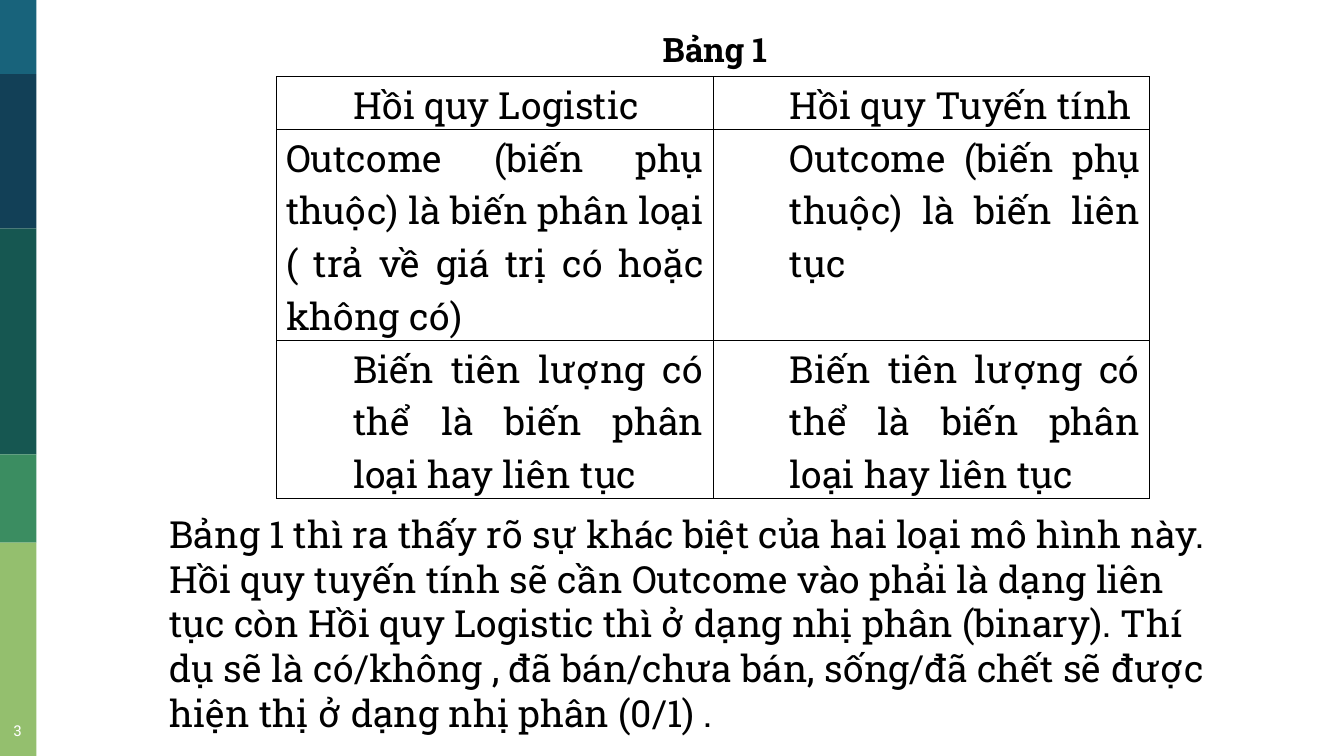
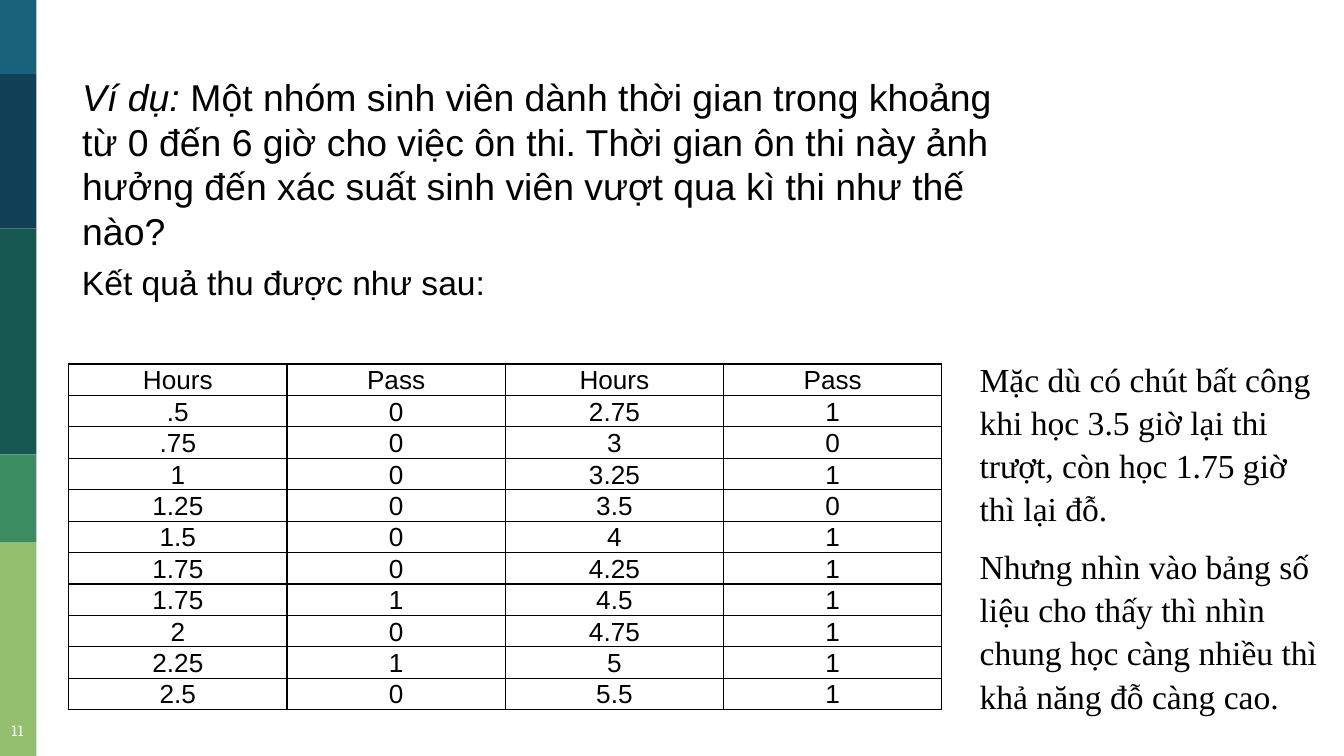
from dataclasses import dataclass

from lxml.etree import SubElement
from pptx import Presentation
from pptx.dml.color import RGBColor
from pptx.enum.shapes import MSO_SHAPE
from pptx.enum.text import MSO_ANCHOR, MSO_AUTO_SIZE, PP_ALIGN
from pptx.oxml.ns import qn
from pptx.util import Cm, Pt


@dataclass(frozen=True)
class Style:
    """Type and paragraph settings of one kind of text."""
    font: str
    size: float
    color: str = "000000"
    align: PP_ALIGN = PP_ALIGN.LEFT
    spacing: float = 1.0
    after: float = 0
    left: float = 0
    first: float = 0


@dataclass(frozen=True)
class Theme:
    """Colours and type sizes of the deck."""
    bands: tuple = ("18637B", "124057", "165751", "3B8D61", "94BF6E")
    border: str = "000000"
    border_width: float = 0.75
    page: Style = Style("Roboto Slab", 8, "FFFFFF", PP_ALIGN.CENTER)
    caption: Style = Style("Roboto Slab", 18, first=1.27)
    slab: Style = Style("Roboto Slab", 20)
    compare: Style = Style("Roboto Slab", 20, align=PP_ALIGN.JUSTIFY,
                           spacing=1.07, after=7.5)
    compare_indented: Style = Style("Roboto Slab", 20, align=PP_ALIGN.JUSTIFY,
                                    spacing=1.07, after=7.5, left=1.27)
    question: Style = Style("Arial", 20)
    lead: Style = Style("Arial", 18)
    data: Style = Style("Arial", 14, align=PP_ALIGN.CENTER, spacing=1.07)
    remark: Style = Style("Times New Roman", 18, spacing=1.07, after=8)


@dataclass(frozen=True)
class Box:
    """A rectangle in centimetres."""
    x: float
    y: float
    w: float
    h: float

    def inner(self, dx, dy, w, h):
        """Return a box offset from this one's corner."""
        return Box(self.x + dx, self.y + dy, w, h)

    def lengths(self):
        """Return left, top, width and height as lengths."""
        return Cm(self.x), Cm(self.y), Cm(self.w), Cm(self.h)


THEME = Theme()
PAGE = Box(0, 0, 25.4, 14.29)
SIDEBAR = Box(0, 0, 0.69, 14.29)
BAND_TOPS = (0, 1.4, 4.32, 8.59, 10.26, SIDEBAR.h)

COMPARISON = (
    ("Hồi quy Logistic", "Hồi quy Tuyến tính"),
    ("Outcome (biến phụ thuộc) là biến phân loại ( trả về giá trị có hoặc không có)",
     "Outcome (biến phụ thuộc) là biến liên tục"),
    ("Biến tiên lượng có thể là biến phân loại hay liên tục",) * 2,
)
EXPLANATION = (
    "Bảng 1 thì ra thấy rõ sự khác biệt của hai loại mô hình này. "
    "Hồi quy tuyến tính sẽ cần Outcome vào phải là dạng liên tục còn "
    "Hồi quy Logistic thì ở dạng nhị phân (binary). Thí dụ sẽ là "
    "có/không , đã bán/chưa bán, sống/đã chết sẽ được hiện thị ở dạng "
    "nhị phân (0/1) ."
)
QUESTION = (
    "Một nhóm sinh viên dành thời gian trong khoảng từ 0 đến 6 giờ cho "
    "việc ôn thi. Thời gian ôn thi này ảnh hưởng đến xác suất sinh viên "
    "vượt qua kì thi như thế nào?"
)
REMARKS = (
    "Mặc dù có chút bất công khi học 3.5 giờ lại thi trượt, còn học 1.75 "
    "giờ thì lại đỗ.",
    "Nhưng nhìn vào bảng số liệu cho thấy thì nhìn chung học càng nhiều "
    "thì khả năng đỗ càng cao.",
)
STUDY_RESULTS = (
    ("Hours", "Pass", "Hours", "Pass"),
    (".5", "0", "2.75", "1"),
    (".75", "0", "3", "0"),
    ("1", "0", "3.25", "1"),
    ("1.25", "0", "3.5", "0"),
    ("1.5", "0", "4", "1"),
    ("1.75", "0", "4.25", "1"),
    ("1.75", "1", "4.5", "1"),
    ("2", "0", "4.75", "1"),
    ("2.25", "1", "5", "1"),
    ("2.5", "0", "5.5", "1"),
)


def write(tf, paragraphs, style):
    """Write paragraphs of (text, emphasis) runs in one style."""
    for i, runs in enumerate(paragraphs):
        p = tf.add_paragraph() if i else tf.paragraphs[0]
        p.alignment = style.align
        p.line_spacing = style.spacing
        p.space_before, p.space_after = Pt(0), Pt(style.after)
        pPr = p._p.get_or_add_pPr()
        pPr.set("marL", str(Cm(style.left)))
        pPr.set("indent", str(Cm(style.first)))
        SubElement(pPr, qn("a:buNone"))
        for text, emphasis in runs:
            r = p.add_run()
            r.text = text
            r.font.name, r.font.size = style.font, Pt(style.size)
            r.font.bold, r.font.italic = emphasis == "b", emphasis == "i"
            r.font.color.rgb = RGBColor.from_string(style.color)


def place_text(sp, box, paragraphs, style, anchor=MSO_ANCHOR.TOP, wrap=True):
    """Move a placeholder or text box to its box and fill it."""
    sp.left, sp.top, sp.width, sp.height = box.lengths()
    tf = sp.text_frame
    tf.word_wrap, tf.auto_size = wrap, MSO_AUTO_SIZE.NONE
    tf.vertical_anchor = anchor
    write(tf, paragraphs, style)


def add_text(slide, box, text, style, **options):
    """Add a text box with one plain paragraph."""
    sp = slide.shapes.add_textbox(*box.lengths())
    place_text(sp, box, [[(text, "")]], style, **options)
    return sp


def add_borders(cell):
    """Draw a thin line on all four sides of a cell."""
    tcPr = cell._tc.get_or_add_tcPr()
    for i, side in enumerate(("lnL", "lnR", "lnT", "lnB")):
        ln = tcPr.makeelement(qn(f"a:{side}"), {"w": str(Pt(THEME.border_width))})
        fill = SubElement(ln, qn("a:solidFill"))
        SubElement(fill, qn("a:srgbClr"), val=THEME.border)
        tcPr.insert(i, ln)


def add_grid(slide, box, rows, heights, style_of):
    """Add a bordered table with equal columns."""
    table = slide.shapes.add_table(len(rows), len(rows[0]), *box.lengths()).table
    table.first_row = table.horz_banding = False
    for row, height in zip(table.rows, heights):
        row.height = Cm(height)
    for i, texts in enumerate(rows):
        for j, text in enumerate(texts):
            cell = table.cell(i, j)
            cell.margin_left = cell.margin_right = Cm(0.18)
            cell.margin_top = cell.margin_bottom = Cm(0)
            cell.fill.background()
            add_borders(cell)
            write(cell.text_frame, [[(text, "")]], style_of(i, j))


def add_sidebar(slide, box):
    """Draw the coloured bands and keep them on the slide's layout."""
    tree = slide.slide_layout.shapes._spTree
    for i, color in enumerate(THEME.bands):
        band = box.inner(0, BAND_TOPS[i], box.w, BAND_TOPS[i + 1] - BAND_TOPS[i])
        sp = slide.shapes.add_shape(MSO_SHAPE.RECTANGLE, *band.lengths())
        sp.shadow.inherit = False
        sp.fill.solid()
        sp.fill.fore_color.rgb = RGBColor.from_string(color)
        sp.line.fill.background()
        sp.name = f"Band {i + 1}"
        sp._element.nvSpPr.cNvPr.set("id", str(20 + i))
        tree.insert(2 + i, sp._element)


def add_page_number(slide, box, number):
    """Add the page number at the foot of the sidebar."""
    sp = add_text(slide, box.inner(-0.15, 13.39, 0.97, 0.89), number, THEME.page)
    tf = sp.text_frame
    tf.margin_left = tf.margin_right = tf.margin_top = tf.margin_bottom = Cm(0.25)


def fill_comparison(slide, box):
    """Lay out the captioned comparison of the two models."""
    title, body = slide.placeholders
    place_text(title, box.inner(8.05, 0, 5, 1.02), [[("Bảng 1", "b")]],
               THEME.caption, MSO_ANCHOR.MIDDLE)
    add_grid(slide, box.inner(2.28, 1.04, 16.5, 6.9), COMPARISON, (0.84, 3.48, 2.59),
             lambda i, j: THEME.compare if (i, j) == (1, 0) else THEME.compare_indented)
    place_text(body, box.inner(0, 9.12, box.w, 4.52), [[(EXPLANATION, "")]], THEME.slab)


def fill_example(slide, box):
    """Lay out the question, the study results and the remarks."""
    title, body = slide.placeholders
    place_text(title, box.inner(0, 0, 18.26, 3.68),
               [[("Ví dụ: ", "i"), (QUESTION, "")]], THEME.question)
    add_text(slide, box.inner(0, 3.56, 8.2, 1.02), "Kết quả thu được như sau:",
             THEME.lead, anchor=MSO_ANCHOR.MIDDLE, wrap=False)
    add_grid(slide, box.inner(0, 5.61, 16.5, 6.5), STUDY_RESULTS,
             [6.5 / len(STUDY_RESULTS)] * len(STUDY_RESULTS), lambda i, j: THEME.data)
    place_text(body, box.inner(16.96, 5.33, 7.14, 7.06),
               [[(text, "")] for text in REMARKS], THEME.remark)


def main():
    """Build and save the deck."""
    prs = Presentation()
    prs.slide_width, prs.slide_height = Cm(PAGE.w), Cm(PAGE.h)
    layout = prs.slide_layouts[1]
    pages = (
        ("3", fill_comparison, PAGE.inner(2.95, 0.41, 20.14, 13.64)),
        ("11", fill_example, PAGE.inner(1.3, 1.27, 24.1, 12.4)),
    )
    for i, (number, fill, box) in enumerate(pages):
        slide = prs.slides.add_slide(layout)
        if i == 0:
            add_sidebar(slide, SIDEBAR)
        fill(slide, box)
        add_page_number(slide, SIDEBAR, number)
    prs.save("out.pptx")


if __name__ == "__main__":
    main()
